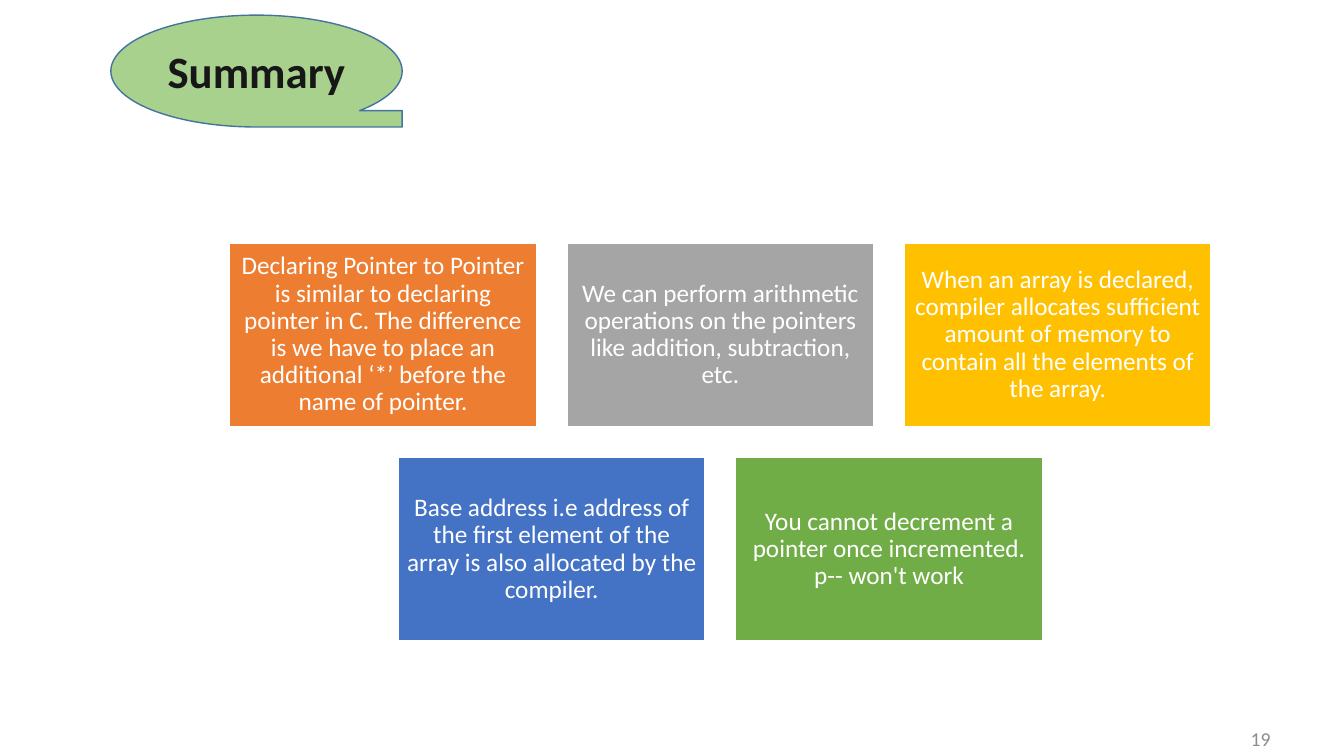
from pptx import Presentation
from pptx.dml.color import RGBColor
from pptx.enum.shapes import MSO_SHAPE
from pptx.enum.text import MSO_ANCHOR, PP_ALIGN
from pptx.util import Inches, Pt

WHITE = RGBColor(0xFF, 0xFF, 0xFF)
INK = RGBColor(0x18, 0x17, 0x17)
MUTED = RGBColor(0x8C, 0x8C, 0x8C)
LIGHT_GREEN = RGBColor(0xA9, 0xD1, 0x8E)
OUTLINE_BLUE = RGBColor(0x43, 0x73, 0x9E)
ORANGE = RGBColor(0xED, 0x7D, 0x31)
GRAY = RGBColor(0xA5, 0xA5, 0xA5)
GOLD = RGBColor(0xFF, 0xC0, 0x00)
BLUE = RGBColor(0x44, 0x72, 0xC4)
GREEN = RGBColor(0x70, 0xAD, 0x47)

# Card grid, in percent of the slide's width and height
CARD_W, CARD_H = 22.81, 24.27
COL_STEP, ROW_STEP = 25.1, 28.4
GRID_CENTER, GRID_TOP = 53.6, 32.13

CARD_ROWS = [
    [
        (ORANGE, "Declaring Pointer to Pointer is similar to declaring pointer in C. "
                 "The difference is we have to place an additional ‘*’ before the "
                 "name of pointer."),
        (GRAY, "We can perform arithmetic operations on the pointers like addition, "
               "subtraction, etc."),
        (GOLD, "When an array is declared, compiler allocates sufficient amount of "
               "memory to contain all the elements of the array."),
    ],
    [
        (BLUE, "Base address i.e address of the first element of the array is also "
               "allocated by the compiler."),
        (GREEN, "You cannot decrement a pointer once incremented. p-- won't work"),
    ],
]


def write(shape, text, size=18, color=WHITE, bold=False, align=PP_ALIGN.CENTER,
          spacing=1.0, inset_x=0.1, inset_y=0.05):
    tf = shape.text_frame
    tf.word_wrap = True
    tf.vertical_anchor = MSO_ANCHOR.MIDDLE
    tf.margin_left = tf.margin_right = Inches(inset_x)
    tf.margin_top = tf.margin_bottom = Inches(inset_y)
    p = tf.paragraphs[0]
    p.alignment = align
    p.line_spacing = spacing
    r = p.add_run()
    r.text = text
    r.font.name = "Calibri"
    r.font.size = Pt(size)
    r.font.bold = bold
    r.font.color.rgb = color


class SlideBuilder:
    """Places elements on one slide; every box is in percent of the slide's size."""

    def __init__(self, prs):
        self.width, self.height = prs.slide_width, prs.slide_height
        self.s = prs.slides.add_slide(prs.slide_layouts[6])

    def box(self, x, y, w, h):
        """Turn percentages into left, top, width and height."""
        return (int(self.width * x / 100), int(self.height * y / 100),
                int(self.width * w / 100), int(self.height * h / 100))

    def shape(self, kind, box, fill, line):
        sp = self.s.shapes.add_shape(kind, *self.box(*box))
        sp.shadow.inherit = False
        sp.fill.solid()
        sp.fill.fore_color.rgb = fill
        sp.line.color.rgb = line
        sp.line.width = Pt(1)
        return sp

    def title(self, text):
        sp = self.shape(MSO_SHAPE.FLOWCHART_SEQUENTIAL_ACCESS_STORAGE,
                        (8.25, 2, 21.68, 14.8), LIGHT_GREEN, OUTLINE_BLUE)
        write(sp, text, size=32, color=INK, bold=True)

    def card_row(self, row, cards):
        """Lay out one row of cards, centred on the grid."""
        row_w = CARD_W + COL_STEP * (len(cards) - 1)
        for col, (fill, text) in enumerate(cards):
            x = GRID_CENTER - row_w / 2 + COL_STEP * col
            y = GRID_TOP + ROW_STEP * row
            sp = self.shape(MSO_SHAPE.RECTANGLE, (x, y, CARD_W, CARD_H), fill, WHITE)
            write(sp, text, spacing=0.9, inset_x=0.07, inset_y=0.07)

    def page_number(self, number):
        sp = self.s.shapes.add_textbox(*self.box(78.47, 97.33, 16.8, 0.67))
        write(sp, str(number), size=14, color=MUTED, align=PP_ALIGN.RIGHT, inset_y=0)


def main():
    prs = Presentation()
    prs.slide_width, prs.slide_height = Inches(13.33), Inches(7.5)
    slide = SlideBuilder(prs)
    slide.page_number(19)
    slide.title("Summary")
    for row, cards in enumerate(CARD_ROWS):
        slide.card_row(row, cards)
    prs.save("out.pptx")


if __name__ == "__main__":
    main()
